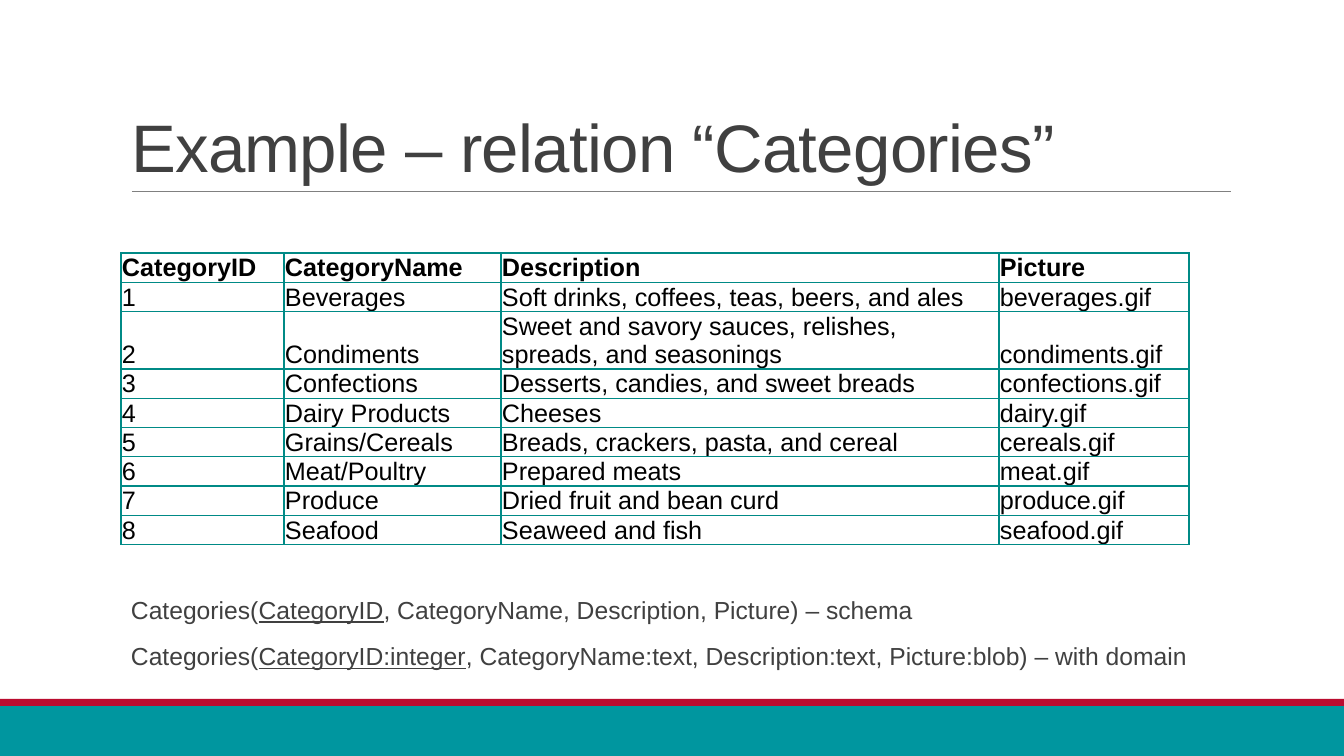
from lxml.etree import SubElement
from pptx import Presentation
from pptx.dml.color import RGBColor
from pptx.enum.shapes import MSO_CONNECTOR, MSO_SHAPE
from pptx.enum.text import MSO_ANCHOR, MSO_AUTO_SIZE, PP_ALIGN
from pptx.oxml import parse_xml
from pptx.oxml.ns import nsdecls, qn
from pptx.util import Emu, Pt

TITLE = "Example – relation “Categories”"
TABLE = [
    ("CategoryID", "CategoryName", "Description", "Picture"),
    ("1", "Beverages", "Soft drinks, coffees, teas, beers, and ales", "beverages.gif"),
    ("2", "Condiments", "Sweet and savory sauces, relishes, spreads, and seasonings",
     "condiments.gif"),
    ("3", "Confections", "Desserts, candies, and sweet breads", "confections.gif"),
    ("4", "Dairy Products", "Cheeses", "dairy.gif"),
    ("5", "Grains/Cereals", "Breads, crackers, pasta, and cereal", "cereals.gif"),
    ("6", "Meat/Poultry", "Prepared meats", "meat.gif"),
    ("7", "Produce", "Dried fruit and bean curd", "produce.gif"),
    ("8", "Seafood", "Seaweed and fish", "seafood.gif"),
]
# Each schema line: before the key, the underlined key, after the key
SCHEMAS = [
    ("Categories(", "CategoryID", ", CategoryName, Description, Picture) – schema"),
    ("Categories(", "CategoryID:integer",
     ", CategoryName:text, Description:text, Picture:blob) – with domain"),
]
COLORS = {"teal": "00969F", "red": "BA0C2F", "rule": "808080", "border": "008A86",
          "text": "404040", "cell": "000000"}
FONT = "Arial"
COL_WIDTHS = [163, 217, 498, 190]
ROW_HEIGHT, TALL_ROW, TALL_HEIGHT = 26, 2, 51
BANDS = [("teal", (0, 706, 1344, 50)), ("red", (0, 699, 1344, 7))]


def px(n):
    return Emu(round(n * 914400 / 100.8))


def rgb(name):
    return RGBColor.from_string(COLORS[name])


def place(shape, left, top, width, height):
    box = {"left": left, "top": top, "width": width, "height": height}
    for name, value in box.items():
        setattr(shape, name, px(value))


def add_run(p, text, size, color, **style):
    r = p.add_run()
    r.text = text
    r.font.color.rgb = rgb(color)
    for name, value in {"name": FONT, "size": Pt(size), **style}.items():
        setattr(r.font, name, value)
    return r


def set_frame(tf, **formats):
    for name, value in {"word_wrap": True, "auto_size": MSO_AUTO_SIZE.NONE, **formats}.items():
        setattr(tf, name, value)


def set_borders(cell):
    tc_pr = cell._tc.get_or_add_tcPr()
    for i, side in enumerate("LRTB"):
        tc_pr.insert(i, parse_xml(
            f'<a:ln{side} {nsdecls("a")} w="{Pt(1)}"><a:solidFill>'
            f'<a:srgbClr val="{COLORS["border"]}"/></a:solidFill></a:ln{side}>'))


def add_backdrop(s):
    for color, box in BANDS:
        sp = s.shapes.add_shape(MSO_SHAPE.RECTANGLE, *map(px, box))
        sp.shadow.inherit = False
        sp.fill.solid()
        sp.fill.fore_color.rgb = rgb(color)
        sp.line.fill.background()
    rule = s.shapes.add_connector(MSO_CONNECTOR.STRAIGHT, *map(px, (132, 191, 1231, 191)))
    rule.line.color.rgb = rgb("rule")
    rule.line.width = Pt(0.5)
    SubElement(rule._element.spPr, qn("a:effectLst"))


def fill_title(sp):
    place(sp, 121, 31, 1109, 160)
    set_frame(sp.text_frame, vertical_anchor=MSO_ANCHOR.BOTTOM)
    p = sp.text_frame.paragraphs[0]
    p.alignment = PP_ALIGN.LEFT
    p.line_spacing = 0.85
    r = add_run(p, TITLE, 48, "text")
    r._r.get_or_add_rPr().set("spc", "-50")


def add_categories(s):
    heights = [TALL_HEIGHT if i == TALL_ROW else ROW_HEIGHT for i in range(len(TABLE))]
    box = (121, 253, sum(COL_WIDTHS), sum(heights))
    table = s.shapes.add_table(len(TABLE), len(COL_WIDTHS), *map(px, box)).table
    table.first_row = table.horz_banding = False
    for column, width in zip(table.columns, COL_WIDTHS):
        column.width = px(width)
    for i, (values, height) in enumerate(zip(TABLE, heights)):
        table.rows[i].height = px(height)
        for j, text in enumerate(values):
            cell = table.cell(i, j)
            for side in ("left", "right", "top"):
                setattr(cell, f"margin_{side}", px(1))
            cell.margin_bottom = 0
            cell.vertical_anchor = MSO_ANCHOR.BOTTOM
            cell.fill.background()
            set_borders(cell)
            add_run(cell.text_frame.paragraphs[0], text, 18, "cell", bold=i == 0)


def fill_schemas(sp):
    place(sp, 121, 593, 1131, 105)
    tf = sp.text_frame
    set_frame(tf, margin_left=0, margin_right=0, vertical_anchor=MSO_ANCHOR.TOP)
    for i, parts in enumerate(SCHEMAS):
        p = tf.add_paragraph() if i else tf.paragraphs[0]
        p.line_spacing, p.space_before, p.space_after = 0.9, Pt(12), Pt(2)
        p_pr = p._p.get_or_add_pPr()
        p_pr.set("marL", str(px(10)))
        p_pr.set("indent", str(-px(10)))
        bullet_color = SubElement(p_pr, qn("a:buClr"))
        SubElement(bullet_color, qn("a:srgbClr"), val=COLORS["red"])
        SubElement(p_pr, qn("a:buChar"), char=" ")
        for j, text in enumerate(parts):
            add_run(p, text, 17.6, "text", underline=j == 1)


def main():
    prs = Presentation()
    prs.slide_width, prs.slide_height = px(1344), px(756)
    s = prs.slides.add_slide(prs.slide_layouts[1])
    add_backdrop(s)
    fill_title(s.shapes.title)
    add_categories(s)
    fill_schemas(s.placeholders[1])
    prs.save("out.pptx")


if __name__ == "__main__":
    main()
